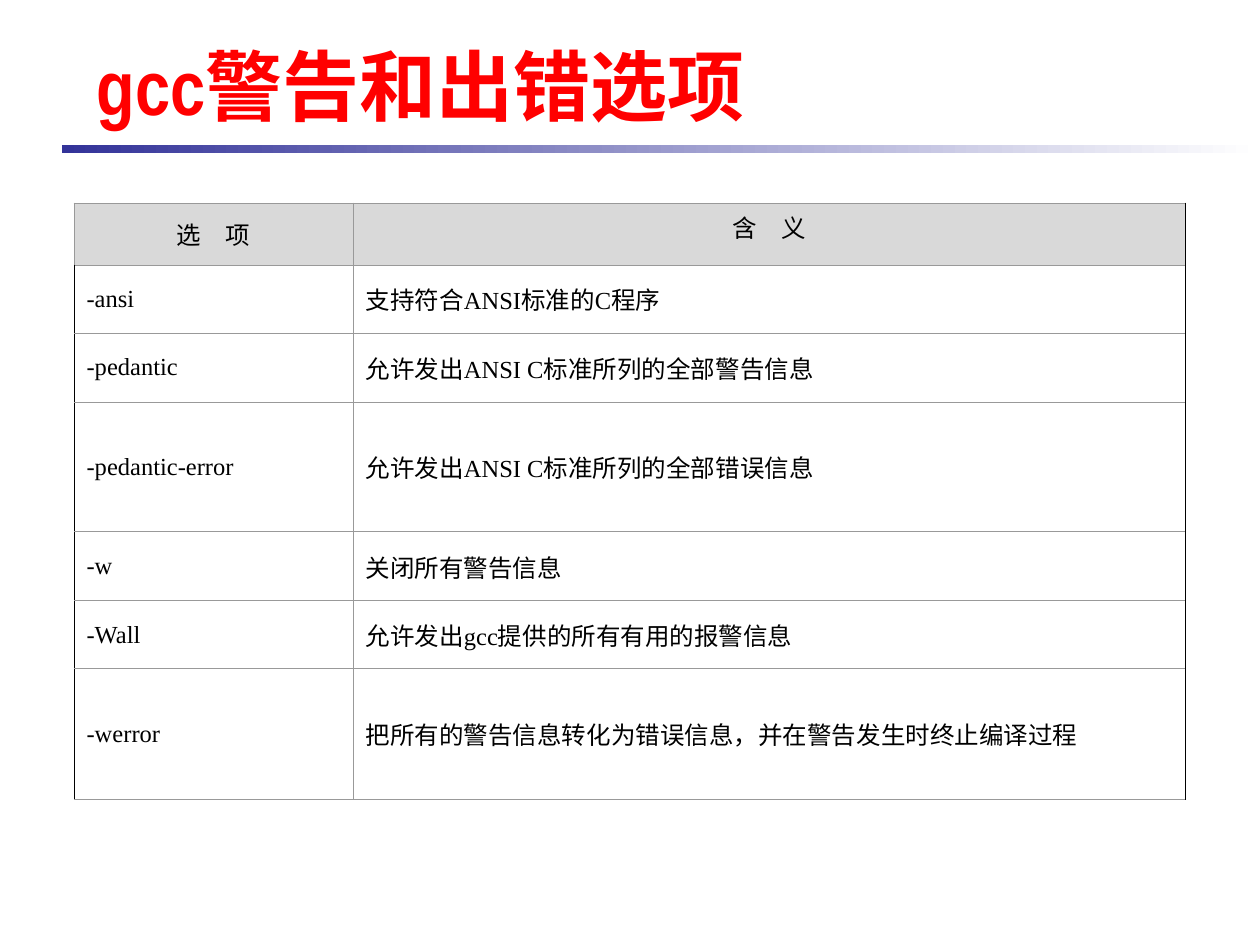
import lxml.etree
import pptx
import pptx.dml.color
import pptx.enum.text
import pptx.enum.shapes
import pptx.oxml.ns
import pptx.util

PX = 914400 // 126
COLORS = {"title": "FF0000", "rule": "333399", "fade": "FFFFFF",
          "header": "D9D9D9", "grid": "999999", "edge": "000000", "text": "000000"}
ROWS = [
    ("选　项", "含　义"),
    ("-ansi", "支持符合ANSI标准的C程序"),
    ("-pedantic", "允许发出ANSI C标准所列的全部警告信息"),
    ("-pedantic-error", "允许发出ANSI C标准所列的全部错误信息"),
    ("-w", "关闭所有警告信息"),
    ("-Wall", "允许发出gcc提供的所有有用的报警信息"),
    ("-werror", "把所有的警告信息转化为错误信息，并在警告发生时终止编译过程"),
]
COLUMN_WIDTHS = [279, 832]
ROW_HEIGHTS = [62, 68, 69, 130, 69, 68, 131]


def rgb(name):
    return pptx.dml.color.RGBColor.from_string(COLORS[name])


def set_borders(cell, sides):
    properties = cell._tc.get_or_add_tcPr()
    for position, (side, color, points) in enumerate(sides):
        line = lxml.etree.Element(pptx.oxml.ns.qn(f"a:ln{side}"), w=str(pptx.util.Pt(points)))
        fill = lxml.etree.SubElement(line, pptx.oxml.ns.qn("a:solidFill"))
        lxml.etree.SubElement(fill, pptx.oxml.ns.qn("a:srgbClr"), val=COLORS[color])
        properties.insert(position, line)


prs = pptx.Presentation()
prs.slide_width = 1260 * PX
prs.slide_height = 945 * PX
slide = prs.slides.add_slide(prs.slide_layouts[5])

rule = slide.shapes.add_shape(pptx.enum.shapes.MSO_SHAPE.RECTANGLE,
                              62 * PX, 145 * PX, 1198 * PX, 8 * PX)
rule.shadow.inherit = False
rule.line.fill.background()
rule.fill.gradient()
rule.fill.gradient_angle = 0
for stop, color in zip(rule.fill.gradient_stops, ("rule", "fade")):
    stop.color.rgb = rgb(color)

title = slide.shapes.title
title.left, title.top, title.width, title.height = 84 * PX, 26 * PX, 1081 * PX, 118 * PX
title.text_frame.text = "gcc警告和出错选项"
title.text_frame.auto_size = pptx.enum.text.MSO_AUTO_SIZE.NONE
title.text_frame.vertical_anchor = pptx.enum.text.MSO_ANCHOR.MIDDLE
heading = title.text_frame.paragraphs[0]
heading.alignment = pptx.enum.text.PP_ALIGN.LEFT
heading.font.name = "Arial Narrow"
heading.font.size = pptx.util.Pt(44)
heading.font.bold = True
heading.font.color.rgb = rgb("title")

options = slide.shapes.add_table(len(ROWS), len(COLUMN_WIDTHS), 74 * PX, 203 * PX,
                                 sum(COLUMN_WIDTHS) * PX, sum(ROW_HEIGHTS) * PX).table
options.first_row = False
options.horz_banding = False
for column, width in zip(options.columns, COLUMN_WIDTHS):
    column.width = width * PX
for row, height in zip(options.rows, ROW_HEIGHTS):
    row.height = height * PX

for r, texts in enumerate(ROWS):
    for c, text in enumerate(texts):
        cell = options.cell(r, c)
        cell.text = text
        cell.vertical_anchor = (pptx.enum.text.MSO_ANCHOR.TOP if (r, c) == (0, 1)
                                else pptx.enum.text.MSO_ANCHOR.MIDDLE)
        paragraph = cell.text_frame.paragraphs[0]
        paragraph.alignment = (pptx.enum.text.PP_ALIGN.CENTER if r == 0
                               else pptx.enum.text.PP_ALIGN.LEFT)
        paragraph.font.name = "Times New Roman"
        paragraph.font.size = pptx.util.Pt(14)
        paragraph.font.color.rgb = rgb("text")
        if r == 0:
            cell.fill.solid()
            cell.fill.fore_color.rgb = rgb("header")
        else:
            cell.fill.background()
        grid, edge = ("grid", 0.45), ("edge", 0.34)
        set_borders(cell, [
            ("L", *(edge if c == 0 and r > 0 else grid)),
            ("R", *(edge if c == 1 else grid)),
            ("T", *grid),
            ("B", *grid),
        ])

prs.save("out.pptx")
